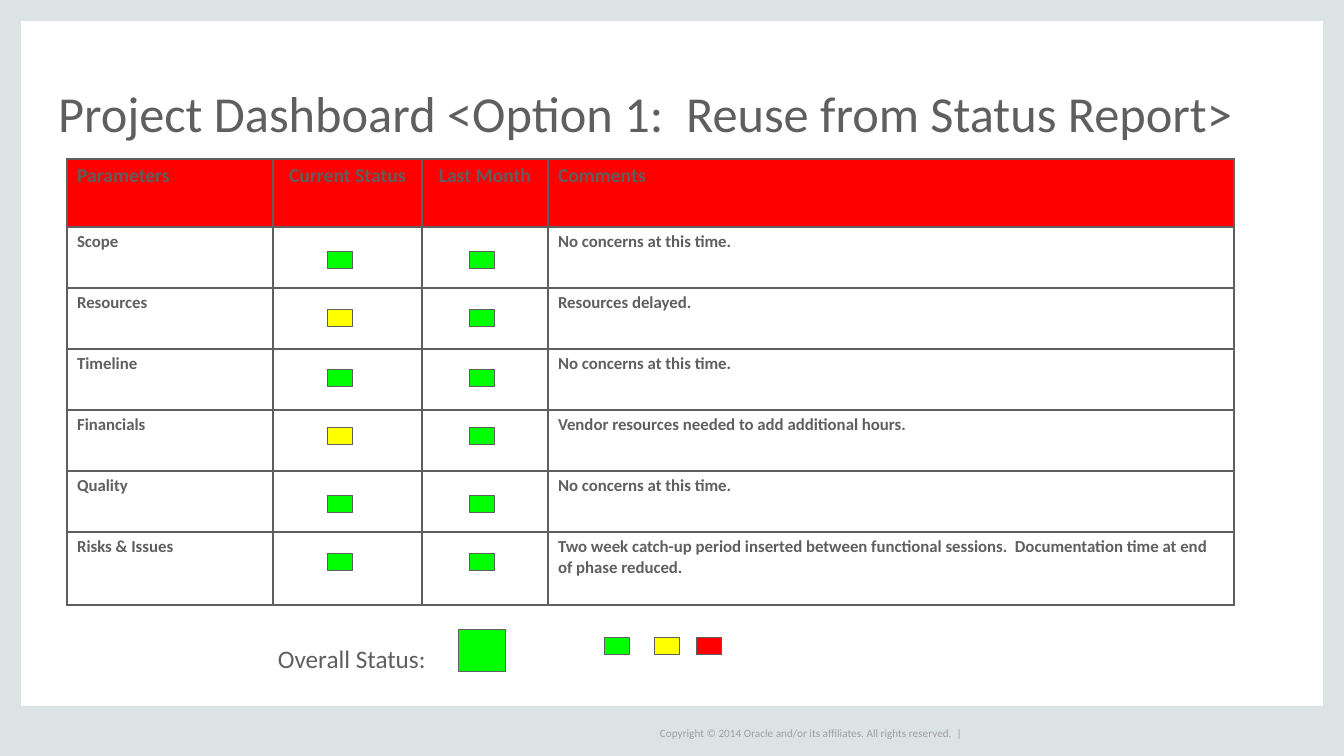
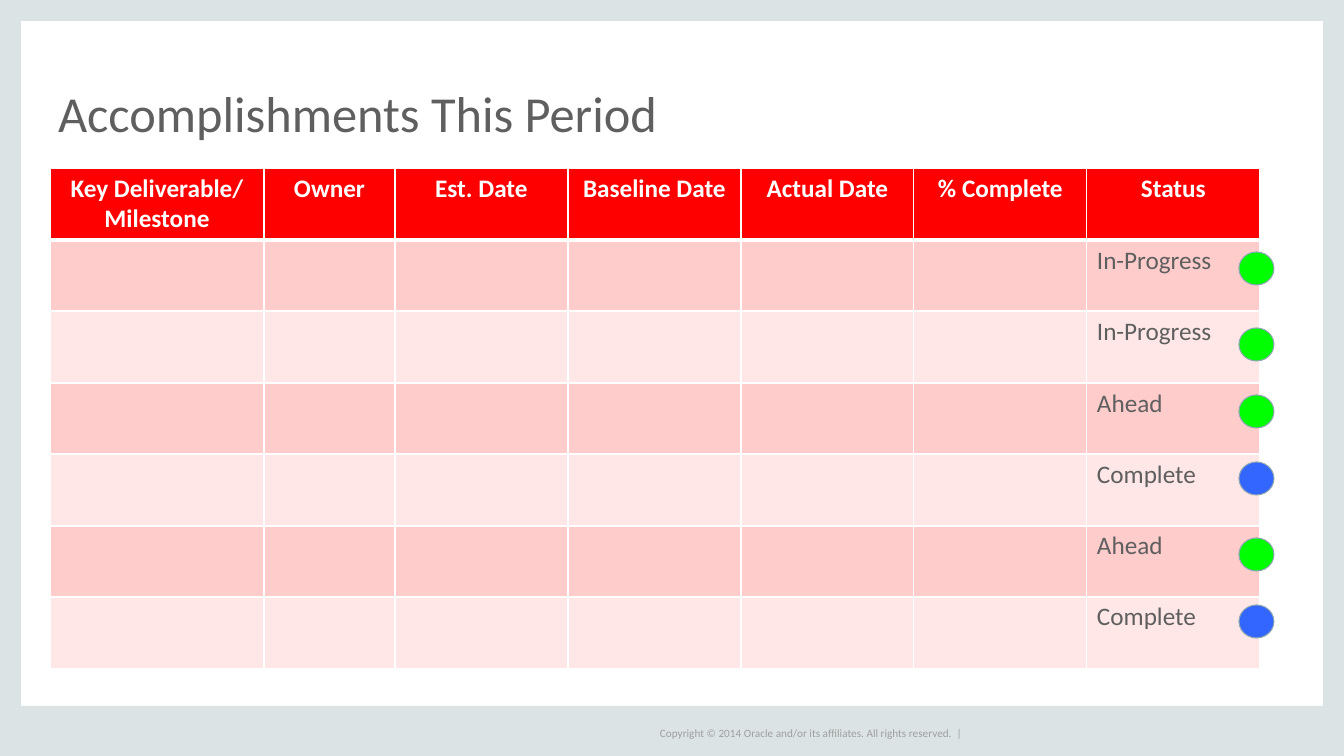
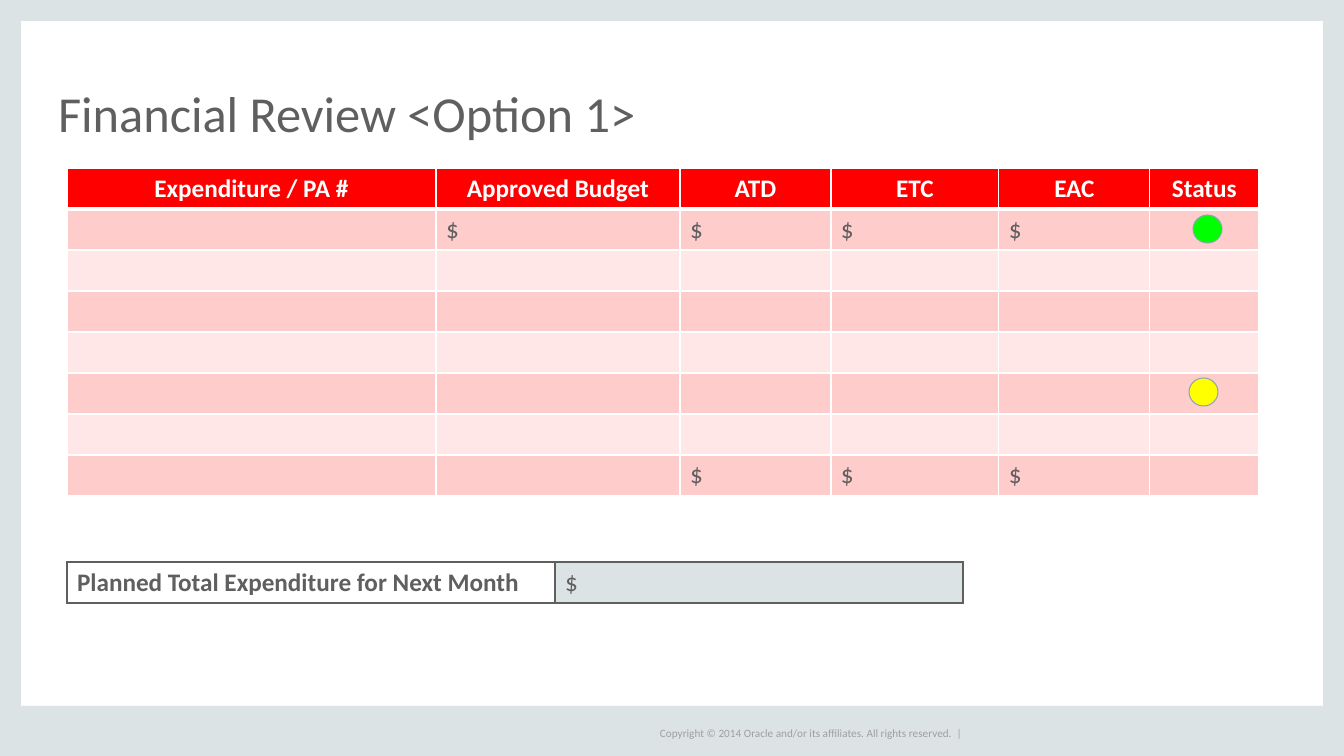
from lxml import etree
from pptx import Presentation
from pptx.dml.color import RGBColor
from pptx.enum.shapes import MSO_SHAPE
from pptx.enum.text import MSO_ANCHOR, MSO_AUTO_SIZE, PP_ALIGN
from pptx.oxml.ns import qn
from pptx.util import Emu, Pt

RECTANGLE, OVAL = MSO_SHAPE.RECTANGLE, MSO_SHAPE.OVAL
LEFT, CENTER = PP_ALIGN.LEFT, PP_ALIGN.CENTER
MIDDLE, BOTTOM = MSO_ANCHOR.MIDDLE, MSO_ANCHOR.BOTTOM
NO_FIT = MSO_AUTO_SIZE.NONE

EMU_PER_PX = 914400 / 100.8
PAGE_WIDTH, PAGE_HEIGHT = 1344, 756
FONT = "Calibri"

INK = RGBColor(0x5F, 0x5F, 0x5F)
MUTED = RGBColor(0x9F, 0x9F, 0x9F)
WHITE = RGBColor(0xFF, 0xFF, 0xFF)
BAND = RGBColor(0xDC, 0xE3, 0xE4)
RED = RGBColor(0xFF, 0x00, 0x00)
PINK = RGBColor(0xFF, 0xCC, 0xCC)
PALE_PINK = RGBColor(0xFF, 0xE7, 0xE7)
GREEN = RGBColor(0x00, 0xFF, 0x00)
YELLOW = RGBColor(0xFF, 0xFF, 0x00)
BLUE = RGBColor(0x33, 0x66, 0xFF)
DOT_LINE = RGBColor(0x8D, 0xA6, 0xB1)

COPYRIGHT = "Copyright © 2014 Oracle and/or its affiliates. All rights reserved.  |"


def px(length):
    return Emu(round(length * EMU_PER_PX))


def px_all(*lengths):
    return [px(length) for length in lengths]


# Text and shapes
def format_para(para, size, colour, bold=False, align=LEFT):
    para.alignment = align
    for span in para.runs:
        span.font.name = FONT
        span.font.size = Pt(size)
        span.font.bold = bold
        span.font.color.rgb = colour


def clear_margins(frame):
    frame.margin_left = frame.margin_right = 0
    frame.margin_top = frame.margin_bottom = 0


def add_label(page, text, at, size, colour):
    box = page.shapes.add_textbox(*px_all(*at))
    box.text_frame.text = text
    format_para(box.text_frame.paragraphs[0], size, colour)
    return box


def add_block(page, kind, at, fill, line=None):
    block = page.shapes.add_shape(kind, *px_all(*at))
    block.shadow.inherit = False
    block.fill.solid()
    block.fill.fore_color.rgb = fill
    if line is None:
        block.line.fill.background()
    else:
        block.line.color.rgb = line
        block.line.width = Pt(0.75)
    return block


def add_square(page, left, top, fill):
    add_block(page, RECTANGLE, (left, top, 25, 17), fill, INK)


# Tables
def set_borders(cell, colour, widths):
    properties = cell._tc.get_or_add_tcPr()
    for side, width in zip(("L", "R", "T", "B"), widths):
        line = etree.SubElement(properties, qn(f"a:ln{side}"), w=str(Pt(width)))
        fill = etree.SubElement(line, qn("a:solidFill"))
        etree.SubElement(fill, qn("a:srgbClr"), val=str(colour))


def add_grid(page, left, top, widths, heights, rows, colour, outer=1, rule=1):
    """Add an unfilled table; outer is the frame width, rule the line under the header."""
    at = px_all(left, top, sum(widths), sum(heights))
    table = page.shapes.add_table(len(heights), len(widths), *at).table
    table.first_row = table.horz_banding = False
    for column, width in zip(table.columns, widths):
        column.width = px(width)
    for row, height in zip(table.rows, heights):
        row.height = px(height)

    across = [outer] + [1] * (len(widths) - 1) + [outer]
    down = [outer] + [rule] * (len(heights) > 1) + [1] * (len(heights) - 2) + [outer]
    for r, texts in enumerate(rows):
        for c, text in enumerate(texts):
            cell = table.cell(r, c)
            cell.text = text
            set_borders(cell, colour, across[c:c + 2] + down[r:r + 2])
    return table


def style_cell(cell, size, colour, bold=False, align=LEFT, fill=None):
    format_para(cell.text_frame.paragraphs[0], size, colour, bold, align)
    if fill is None:
        cell.fill.background()
    else:
        cell.fill.solid()
        cell.fill.fore_color.rgb = fill


def add_banded_grid(page, left, widths, heights, rows):
    table = add_grid(page, left, 168, widths, heights, rows, WHITE, rule=3)
    for r, row in enumerate(table.rows):
        for cell in row.cells:
            if r == 0:
                style_cell(cell, 18, WHITE, True, CENTER, RED)
            else:
                style_cell(cell, 18, INK, fill=PINK if r % 2 else PALE_PINK)


# Shared frame and title
def move_to_layout(shape, layout, number):
    shape.element.nvSpPr.cNvPr.set("id", str(number))
    layout.shapes.element.append(shape.element)


def build_layout(layout, page):
    bands = ((0, 0, 21, PAGE_HEIGHT), (PAGE_WIDTH - 21, 0, 21, PAGE_HEIGHT),
             (0, 706, PAGE_WIDTH, 50), (0, 0, PAGE_WIDTH, 21))
    parts = [add_block(page, RECTANGLE, at, BAND) for at in bands]
    footer = add_label(page, COPYRIGHT, (660, 723, 307, 20), 8, MUTED)
    footer.text_frame.word_wrap = False
    footer.text_frame.vertical_anchor = MIDDLE
    clear_margins(footer.text_frame)
    for number, part in enumerate(parts + [footer], start=20):
        move_to_layout(part, layout, number)


def add_page(deck, layout, text):
    page = deck.slides.add_slide(layout)
    title = page.shapes.title
    title.left, title.top, title.width, title.height = px_all(58, 44, 1227, 98)
    frame = title.text_frame
    frame.text = text
    frame.word_wrap = True
    frame.auto_size = NO_FIT
    frame.vertical_anchor = BOTTOM
    clear_margins(frame)
    frame.paragraphs[0].line_spacing = 0.8
    format_para(frame.paragraphs[0], 36, INK)
    return page


# Pages
def fill_dashboard(page):
    fine = "No concerns at this time."
    rows = [
        ("Parameters", "Current Status", "Last Month", "Comments"),
        ("Scope", "", "", fine),
        ("Resources", "", "", "Resources delayed."),
        ("Timeline", "", "", fine),
        ("Financials", "", "", "Vendor resources needed to add additional hours."),
        ("Quality", "", "", fine),
        ("Risks & Issues", "", "", "Two week catch-up period inserted between functional "
                                   "sessions.  Documentation time at end of phase reduced."),
    ]
    table = add_grid(page, 67, 159, (206, 149, 126, 686), [68] + [61] * 5 + [73],
                     rows, INK, outer=2.25)
    for r, row in enumerate(table.rows):
        for c, cell in enumerate(row.cells):
            if r == 0:
                style_cell(cell, 14, INK, True, CENTER if c in (1, 2) else LEFT, RED)
            else:
                style_cell(cell, 12, INK, True)

    # Current and last month's status
    current = (GREEN, YELLOW, GREEN, YELLOW, GREEN, GREEN)
    for top, colour in zip((252, 310, 370, 428, 496, 554), current):
        add_square(page, 328, top, colour)
        add_square(page, 470, top, GREEN)

    # Overall status and legend
    add_label(page, "Overall Status:", (268, 638, 191, 41), 18, INK)
    add_block(page, RECTANGLE, (459, 630, 47, 42), GREEN, INK)
    for left, colour in ((605, GREEN), (655, YELLOW), (697, RED)):
        add_square(page, left, 638, colour)


def fill_accomplishments(page):
    header = ("Key Deliverable/ Milestone", "Owner", "Est. Date", "Baseline Date",
              "Actual Date", "% Complete", "Status")
    states = ("In-Progress", "In-Progress", "Ahead", "Complete", "Ahead", "Complete")
    rows = [header] + [("",) * 6 + (state,) for state in states]
    heights = [72 - r % 2 for r in range(len(rows))]
    add_banded_grid(page, 50, [214, 131] + [173] * 5, heights, rows)

    for top, state in zip((252, 328, 395, 462, 538, 605), states):
        colour = BLUE if state == "Complete" else GREEN
        add_block(page, OVAL, (1239, top, 35, 33), colour, DOT_LINE)


def fill_financials(page):
    header = ("Expenditure / PA #", "Approved Budget", "ATD", "ETC", "EAC", "Status")
    rows = [header, ("", "$", "$", "$", "$", "")]
    rows += [("",) * 6] * 5
    rows.append(("", "", "$", "$", "$", ""))
    add_banded_grid(page, 67, (369, 244, 151, 168, 151, 109), [41] * len(rows), rows)
    for left, top, colour in ((1193, 215, GREEN), (1189, 378, YELLOW)):
        add_block(page, OVAL, (left, top, 29, 28), colour, DOT_LINE)

    # Next month's total
    total = add_grid(page, 67, 562, (488, 408), [41],
                     [("Planned Total Expenditure for Next Month", "$")], INK)
    style_cell(total.cell(0, 0), 18, INK, True)
    style_cell(total.cell(0, 1), 18, INK, fill=BAND)


def main():
    deck = Presentation()
    deck.slide_width, deck.slide_height = px_all(PAGE_WIDTH, PAGE_HEIGHT)
    layout = deck.slide_layouts[5]

    dashboard = add_page(deck, layout, "Project Dashboard <Option 1:  Reuse from Status Report>")
    build_layout(layout, dashboard)
    fill_dashboard(dashboard)
    fill_accomplishments(add_page(deck, layout, "Accomplishments This Period"))
    fill_financials(add_page(deck, layout, "Financial Review <Option 1>"))
    deck.save("out.pptx")


if __name__ == "__main__":
    main()
